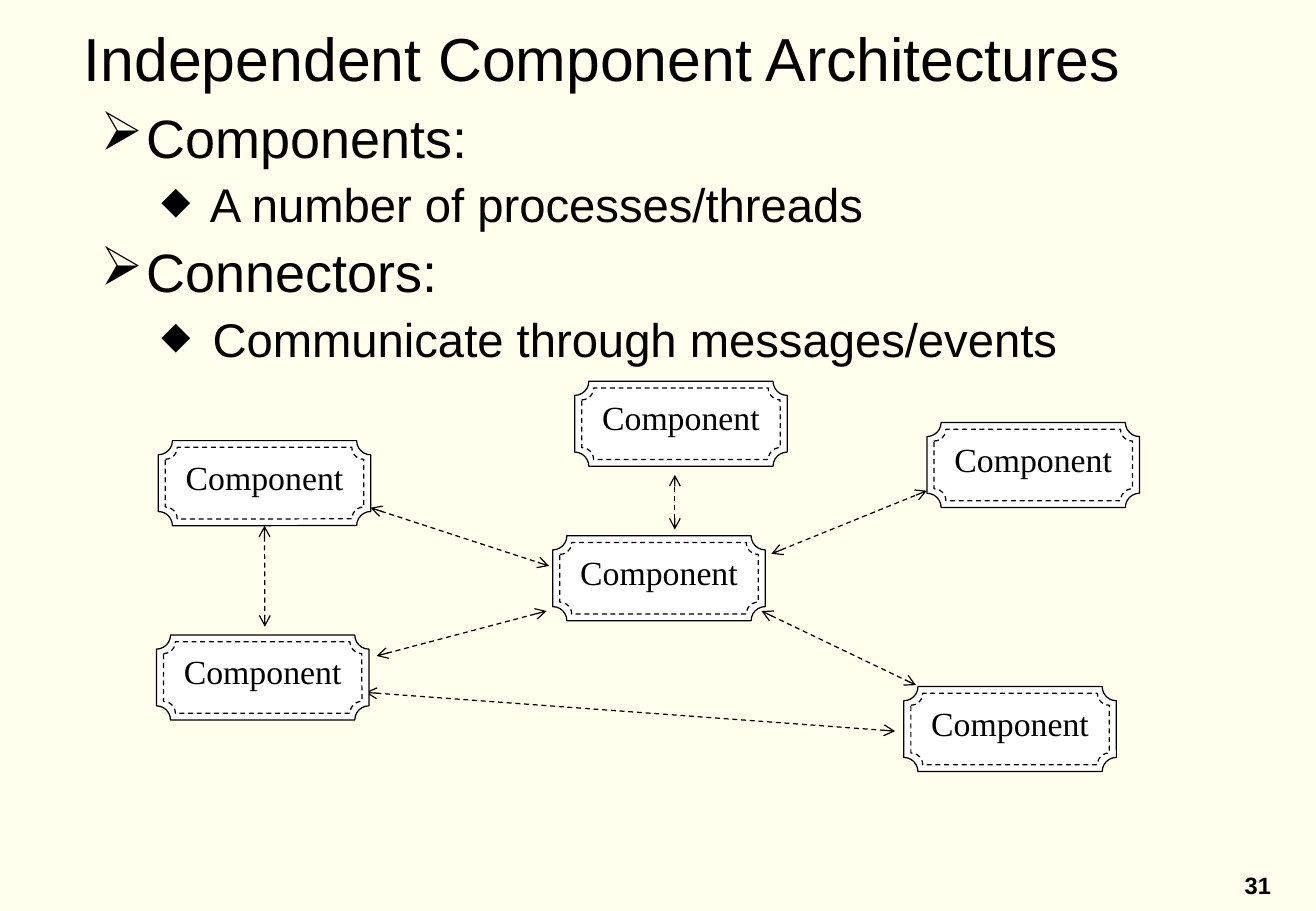
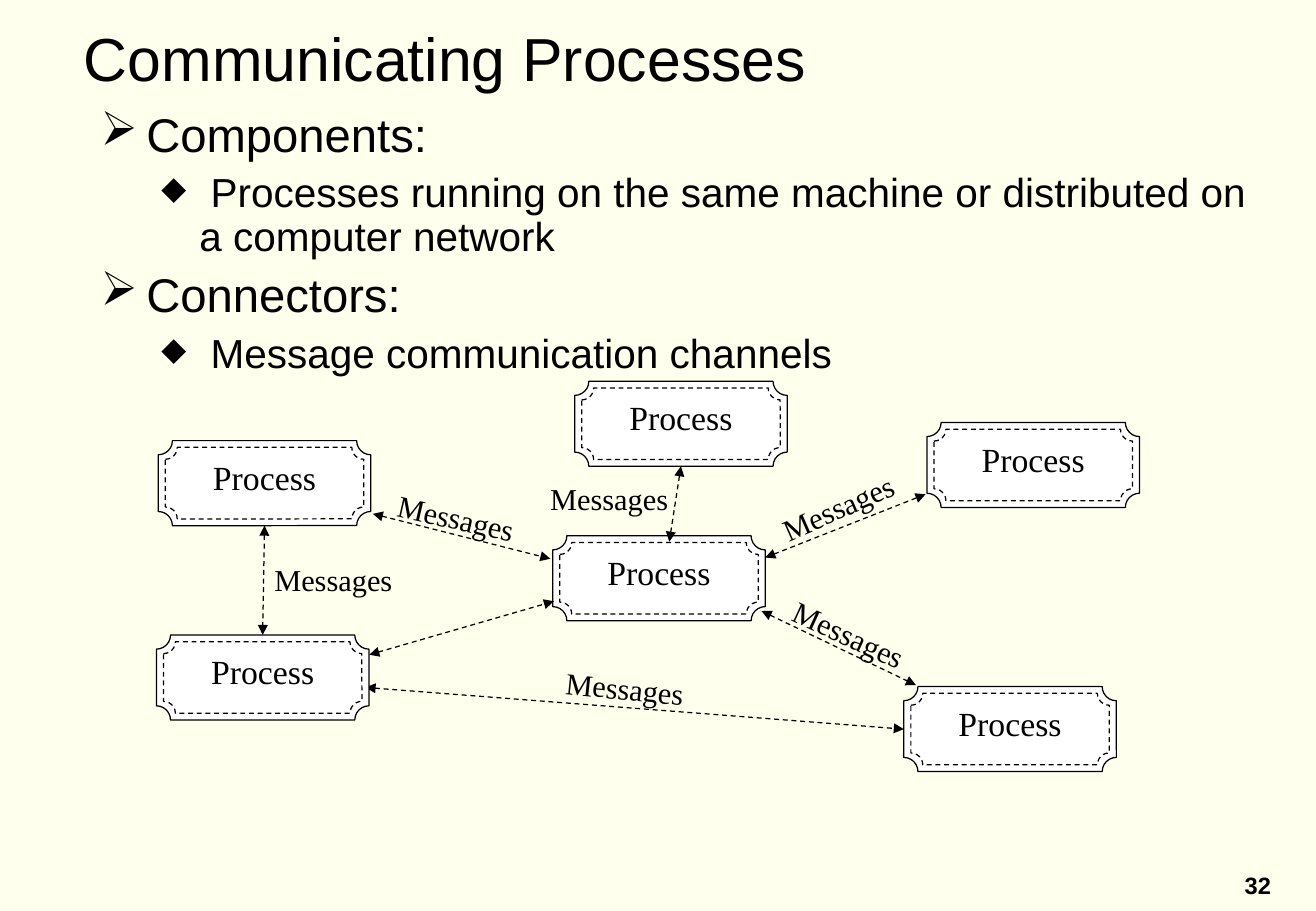
from lxml.etree import SubElement
from pptx import Presentation
from pptx.dml.color import RGBColor
from pptx.enum.dml import MSO_LINE_DASH_STYLE as DASH
from pptx.enum.shapes import MSO_CONNECTOR as CONNECTOR, MSO_SHAPE as SHAPE
from pptx.enum.text import MSO_ANCHOR as ANCHOR, MSO_AUTO_SIZE as AUTO_SIZE, PP_ALIGN as ALIGN
from pptx.oxml.ns import qn
from pptx.util import Pt

CREAM = RGBColor(0xFF, 0xFF, 0xED)
WHITE = RGBColor(0xFF, 0xFF, 0xFF)
BLACK = RGBColor(0, 0, 0)
SANS, SERIF = "Arial", "Times New Roman"
TOP, LEFT, BOTTOM = 0, 1, 2
FIRST_NUMBER = 31

# Bullet levels: left margin, hanging indent, bullet character, bullet size
LEVELS = [(27, -27, "➢", "100000"), (58.5, -22.5, "◆", "80000")]

# Left and top of each plaque; the centre one lies below the arrows
PLAQUE_WIDTH, PLAQUE_HEIGHT = 126, 50.4
INSET_X, INSET_Y = 4.2, 4
PLAQUES = {
    "centre": (327.6, 317.6),
    "upper right": (549.4, 250.4),
    "upper left": (93.8, 261.2),
    "lower left": (92.7, 376.4),
    "lower right": (535.7, 407),
    "top": (340.6, 226),
}

SLIDES = [
    {
        "title": "Independent Component Architectures",
        "sizes": (32, 28),
        "bullets": [
            (0, "Components:"),
            (1, " A number of processes/threads"),
            (0, "Connectors:"),
            (1, " Communicate through messages/events"),
        ],
        "plaque": "Component",
        "arrowhead": "arrow",
        "arrows": [
            (219.6, 301, 325.4, 335.5),
            (223.2, 388.8, 324, 362.2),
            (400, 313.9, 400, 281.5),
            (157, 312, 157, 371.5),
            (457.2, 328.3, 549.4, 290.9),
            (216.7, 410.4, 530.6, 433.4),
            (451.4, 362.2, 542.9, 406.1),
        ],
        "begin joins": [(3, "upper left", BOTTOM)],
        "end joins": [],
        "labels": [],
    },
    {
        "title": "Communicating Processes",
        "sizes": (28, 24),
        "bullets": [
            (0, "Components:"),
            (1, " Processes running on the same machine or distributed on a computer network"),
            (0, "Connectors:"),
            (1, " Message communication channels"),
        ],
        "plaque": "Process",
        "arrowhead": "triangle",
        "arrows": [
            (221, 304.6, 326.2, 331.2),
            (218.9, 388.1, 328.3, 356.4),
            (396.7, 321.1, 403, 276.5),
            (157, 312, 156, 376.4),
            (453.6, 330.5, 548.6, 293),
            (216.7, 407.5, 535.7, 432.2),
            (451.4, 362.2, 542.9, 406.1),
        ],
        "begin joins": [(3, "upper left", BOTTOM)],
        "end joins": [(2, "top", BOTTOM), (3, "lower left", TOP), (5, "lower right", LEFT)],
        "labels": [
            (228.2, 293, 12.8),
            (328.3, 393.8, 5.9),
            (155.5, 329, 0),
            (454.3, 285.1, 336.1),
            (460.8, 362.9, 24.8),
            (319, 280.8, 0),
        ],
    },
]


def write(frame, text, *, size, font=SANS, bold=False, align=ALIGN.LEFT):
    """Add text as the next paragraph of the frame and return that paragraph."""
    frame.word_wrap = True
    para = frame.add_paragraph() if frame.text else frame.paragraphs[0]
    para.alignment = align
    span = para.add_run()
    span.text = text
    span.font.name = font
    span.font.size = Pt(size)
    span.font.bold = bold
    span.font.color.rgb = BLACK
    return para


def add_plaque(page, name, text):
    """Draw a plaque with a dashed inner border and return its outer shape."""
    left, top = PLAQUES[name]
    group = page.shapes.add_group_shape()
    outer, inner = [
        group.shapes.add_shape(
            SHAPE.PLAQUE, Pt(left + dx), Pt(top + dy),
            Pt(PLAQUE_WIDTH - 2 * dx), Pt(PLAQUE_HEIGHT - 2 * dy))
        for dx, dy in ((0, 0), (INSET_X, INSET_Y))
    ]
    for border in (outer, inner):
        border.shadow.inherit = False
        border.line.color.rgb = BLACK
        border.line.width = Pt(0.75)
    outer.fill.solid()
    outer.fill.fore_color.rgb = WHITE
    inner.fill.background()
    inner.line.dash_style = DASH.DASH
    outer.text_frame.vertical_anchor = ANCHOR.TOP
    write(outer.text_frame, text, size=20, font=SERIF, align=ALIGN.CENTER)
    return outer


deck = Presentation()
deck.slide_width, deck.slide_height = Pt(780), Pt(540)
background = deck.slide_master.background.fill
background.solid()
background.fore_color.rgb = CREAM

for number, content in enumerate(SLIDES, FIRST_NUMBER):
    page = deck.slides.add_slide(deck.slide_layouts[5])

    number_box = page.shapes.add_textbox(Pt(727.2), Pt(512.6), Pt(36.7), Pt(23.8))
    write(number_box.text_frame, str(number), size=14, bold=True, align=ALIGN.CENTER)

    title = page.shapes.title
    title.left, title.top, title.width, title.height = Pt(42.5), Pt(12.2), Pt(690.5), Pt(44)
    title.text_frame.auto_size = AUTO_SIZE.NONE
    title.text_frame.vertical_anchor = ANCHOR.MIDDLE
    write(title.text_frame, content["title"], size=36)

    body = page.shapes.add_textbox(Pt(52.6), Pt(62.6), Pt(699.8), Pt(162))
    for index, (level, text) in enumerate(content["bullets"]):
        size = content["sizes"][level]
        margin, indent, character, bullet_size = LEVELS[level]
        para = write(body.text_frame, text, size=size)
        para.level = level
        para.line_spacing = 0.9
        para.space_before = Pt(size * 0.25 if index else 0)
        properties = para._p.get_or_add_pPr()
        properties.set("marL", str(Pt(margin)))
        properties.set("indent", str(Pt(indent)))
        SubElement(properties, qn("a:buSzPct"), val=bullet_size)
        SubElement(properties, qn("a:buChar"), char=character)

    plaques = {"centre": add_plaque(page, "centre", content["plaque"])}

    arrows = []
    for ends in content["arrows"]:
        arrow = page.shapes.add_connector(CONNECTOR.STRAIGHT, *map(Pt, ends))
        arrow.line.color.rgb = BLACK
        arrow.line.width = Pt(0.75)
        arrow.line.dash_style = DASH.DASH
        outline = arrow.line._get_or_add_ln()
        for end in ("a:headEnd", "a:tailEnd"):
            SubElement(outline, qn(end), type=content["arrowhead"])
        SubElement(arrow._element.spPr, qn("a:effectLst"))
        arrows.append(arrow)

    for name in PLAQUES:
        if name not in plaques:
            plaques[name] = add_plaque(page, name, content["plaque"])

    for index, name, side in content["begin joins"]:
        arrows[index].begin_connect(plaques[name], side)
    for index, name, side in content["end joins"]:
        arrows[index].end_connect(plaques[name], side)

    for left, top, angle in content["labels"]:
        label = page.shapes.add_textbox(Pt(left), Pt(top), Pt(90), Pt(28.8))
        label.rotation = angle
        write(label.text_frame, "Messages", size=18, font=SERIF)

deck.save("out.pptx")
